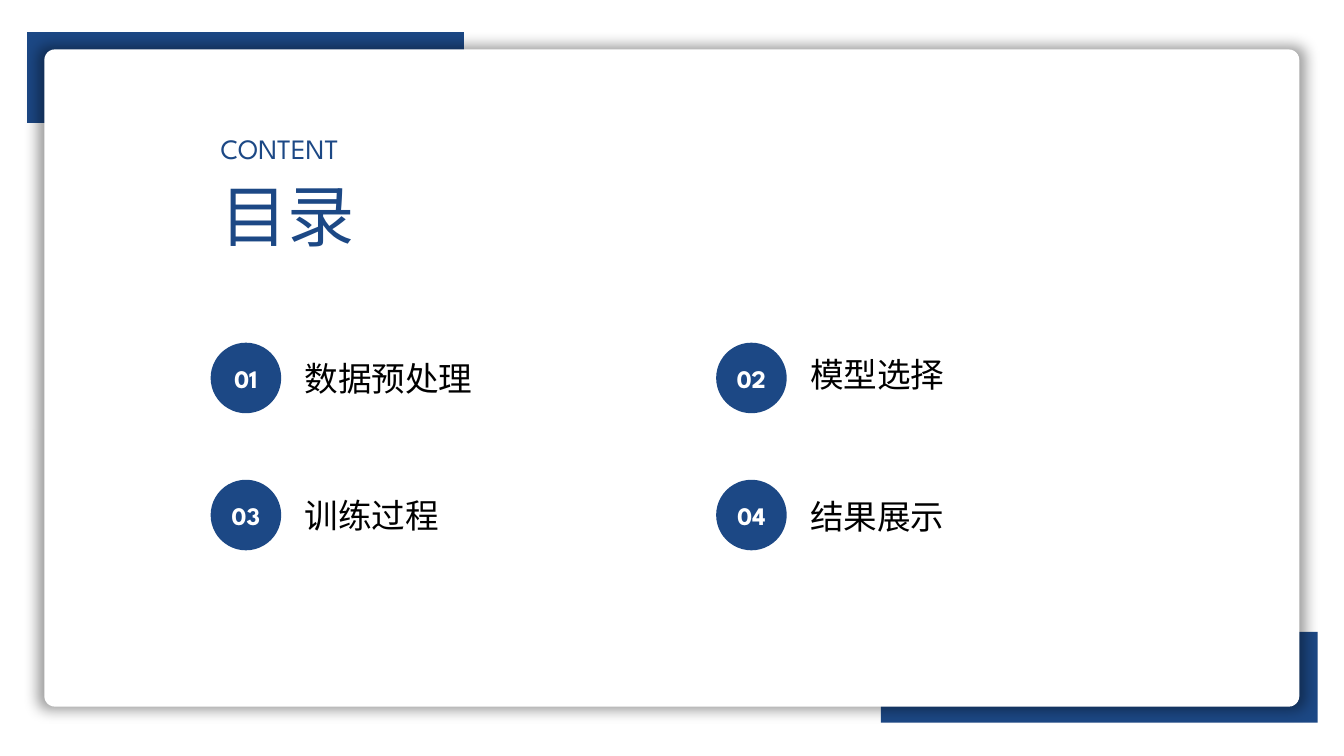
import pptx
import pptx.util
import pptx.dml.color
import pptx.enum.shapes
import pptx.enum.text
import lxml.etree

RGBColor = pptx.dml.color.RGBColor
BLUE = RGBColor(0x1C, 0x48, 0x85)
WHITE = RGBColor(0xFF, 0xFF, 0xFF)
BLACK = RGBColor(0, 0, 0)
SHAPE = pptx.enum.shapes.MSO_SHAPE
ALIGN = pptx.enum.text.PP_ALIGN
COLS, ROWS = 160, 90

deck = pptx.Presentation()
deck.slide_width = pptx.util.Inches(13.33)
deck.slide_height = pptx.util.Inches(7.5)
slide = deck.slides.add_slide(deck.slide_layouts[6])


def add_box(kind, left, top, width, height, fill=None):
    """Place a shape, or a text box when kind is None, in grid cells."""
    col, row = deck.slide_width / COLS, deck.slide_height / ROWS
    at = [int(n) for n in (left * col, top * row, width * col, height * row)]
    if kind is None:
        return slide.shapes.add_textbox(*at)
    box = slide.shapes.add_shape(kind, *at)
    box.shadow.inherit = False
    box.fill.solid()
    box.fill.fore_color.rgb = fill
    box.line.fill.background()
    return box


def add_text(box, text, size, font, color, align=ALIGN.JUSTIFY, bold=False):
    box.text_frame.word_wrap = align == ALIGN.JUSTIFY
    para = box.text_frame.paragraphs[0]
    para.alignment = align
    run = para.add_run()
    run.text = text
    run.font.size = pptx.util.Pt(size)
    run.font.name = font
    run.font.bold = bold
    run.font.color.rgb = color
    # East Asian glyphs take their own typeface entry
    east = lxml.etree.SubElement(run.font._element, pptx.oxml.ns.qn("a:ea"))
    east.set("typeface", font)


# Corner blocks behind the card
for left, top in ((104.88, 75.24), (3.24, 3.84)):
    add_box(SHAPE.RECTANGLE, left, top, 52, 10.8, BLUE)

# White card with a soft shadow all round
card = add_box(SHAPE.ROUNDED_RECTANGLE, 5.28, 5.88, 149.4, 78.24, WHITE)
card.adjustments[0] = 0.016
glow = pptx.oxml.parse_xml(
    '<a:outerShdw xmlns:a="http://schemas.openxmlformats.org/drawingml/2006/main"'
    ' blurRad="127000" sx="101000" sy="101000" algn="ctr" rotWithShape="0">'
    '<a:srgbClr val="000000"><a:alpha val="40000"/></a:srgbClr></a:outerShdw>')
card._element.spPr.find(pptx.oxml.ns.qn("a:effectLst")).append(glow)

# Heading
add_text(add_box(None, 25.08, 20.16, 30.48, 10.92), "目录", 48, "Roboto", BLUE)
add_text(add_box(None, 25.08, 15.12, 30.48, 5.28), "CONTENT", 20,
         "League Spartan", BLUE)

# Two by two list: label and its drop below the top of the disc
topics = [("数据预处理", 1.2), ("模型选择", 0.72),
          ("训练过程", 1.2), ("结果展示", 1.32)]
for i, (topic, drop) in enumerate(topics):
    left = 25.08 + i % 2 * 60.18
    top = 40.8 + i // 2 * 16.32
    disc = add_box(SHAPE.OVAL, left, top, 8.4, 8.4, BLUE)
    disc.text_frame.vertical_anchor = pptx.enum.text.MSO_ANCHOR.MIDDLE
    add_text(disc, f"{i + 1:02}", 18, "League Spartan", WHITE,
             ALIGN.CENTER, True)
    label = add_box(None, left + 10, top + drop, 48.6, 6)
    add_text(label, topic, 24, "Roboto", BLACK)

deck.save("out.pptx")
